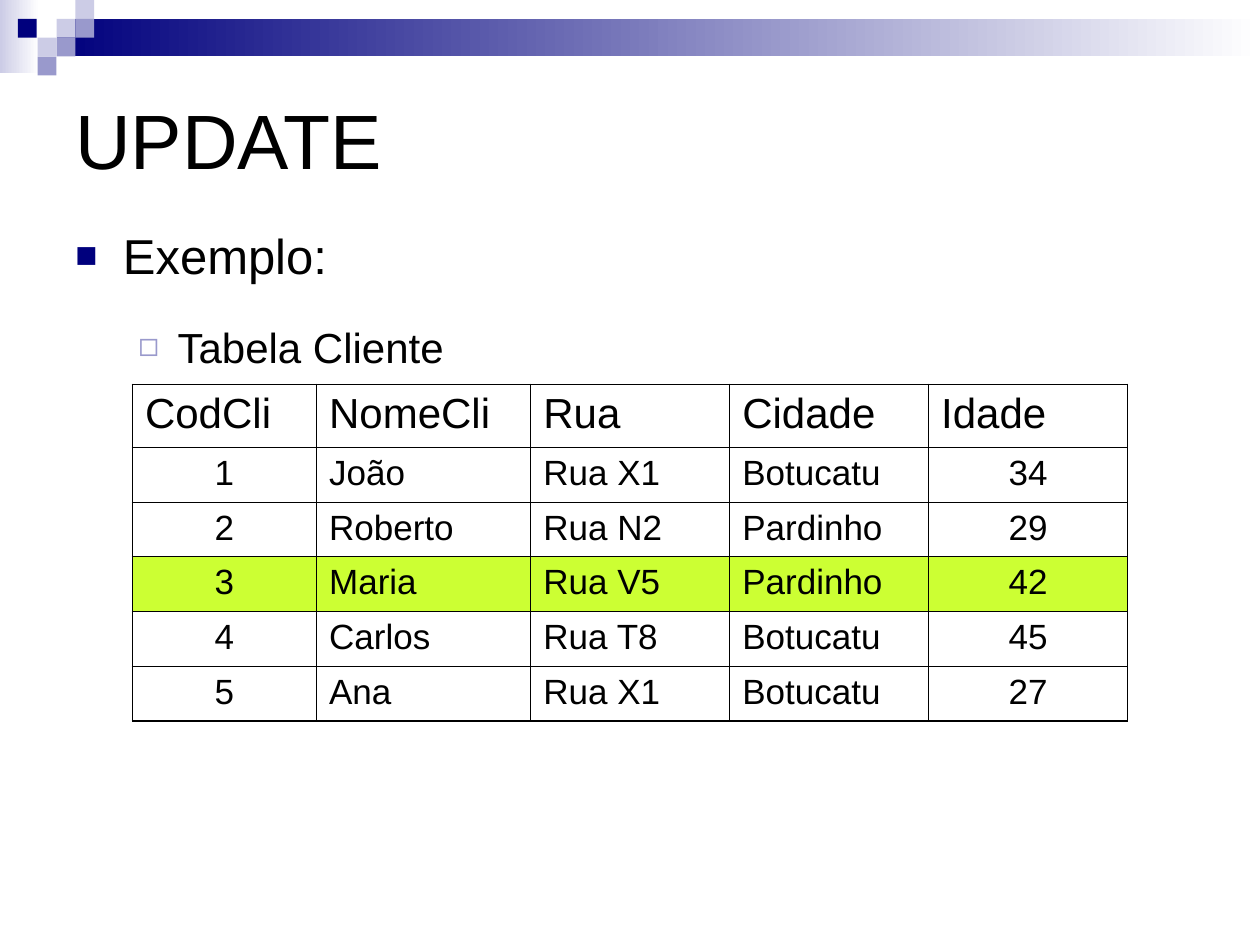
import pptx
import pptx.dml.color
import pptx.enum.shapes
import pptx.enum.text
import pptx.oxml.ns
import pptx.util
from lxml import etree

Cm, Pt = pptx.util.Cm, pptx.util.Pt
RGBColor = pptx.dml.color.RGBColor
PP_ALIGN = pptx.enum.text.PP_ALIGN

BLACK = RGBColor(0x00, 0x00, 0x00)
WHITE = RGBColor(0xFF, 0xFF, 0xFF)
NAVY = RGBColor(0x00, 0x00, 0x7D)
LAVENDER = RGBColor(0x99, 0x99, 0xCC)
PALE = RGBColor(0xCC, 0xCC, 0xE6)
LIME = RGBColor(0xCC, 0xFF, 0x33)

UNIT = 0.38  # side of one mosaic square, in cm
THIN, THICK = 0.45, 1.08

# (column, row, colour) on the mosaic grid
MOSAIC = [
    (3, 1, PALE), (4, 0, PALE), (4, 1, LAVENDER), (2, 2, PALE),
    (0.95, 1, NAVY), (3, 2, LAVENDER), (2, 3, LAVENDER),
]

# text, size, left margin, hanging indent, space before, bullet, bullet colour, bullet %
OUTLINE = [
    ("Exemplo:", 28, 0.96, 0.96, 0, "■", NAVY, 75),
    ("Tabela Cliente", 24, 2.06, 0.79, 21, "◻", LAVENDER, 80),
]

CLIENTS = [
    ("CodCli", "NomeCli", "Rua", "Cidade", "Idade"),
    ("1", "João", "Rua X1", "Botucatu", "34"),
    ("2", "Roberto", "Rua N2", "Pardinho", "29"),
    ("3", "Maria", "Rua V5", "Pardinho", "42"),
    ("4", "Carlos", "Rua T8", "Botucatu", "45"),
    ("5", "Ana", "Rua X1", "Botucatu", "27"),
]
COLUMN_WIDTHS = [3.71, 4.32, 4.01, 4.01, 4.01]
ROW_HEIGHTS = [1.27] + [1.1] * 5
CENTERED_COLUMNS = (0, 4)
UPDATED_ROW = 3


def add_element(parent, tag, **attributes):
    element = etree.SubElement(parent, pptx.oxml.ns.qn(tag))
    for name, value in attributes.items():
        element.set(name, str(value))
    return element


class SlideBuilder:
    def __init__(self, slide, font="Arial"):
        self.slide = slide
        self.font = font

    def format_text(self, paragraph, size):
        for run in paragraph.runs:
            run.font.name = self.font
            run.font.size = Pt(size)
            run.font.color.rgb = BLACK

    def rectangle(self, left, top, width, height, color, fade_to=None):
        """Draw a borderless rectangle, fading left to right if fade_to is given."""
        block = self.slide.shapes.add_shape(
            pptx.enum.shapes.MSO_SHAPE.RECTANGLE,
            Cm(left), Cm(top), Cm(width), Cm(height))
        block.shadow.inherit = False
        block.line.fill.background()
        if fade_to is None:
            block.fill.solid()
            block.fill.fore_color.rgb = color
        else:
            block.fill.gradient()
            block.fill.gradient_angle = 0
            for stop, stop_color in zip(block.fill.gradient_stops, (color, fade_to)):
                stop.color.rgb = stop_color

    def text_box(self, left, top, width, height):
        frame = self.slide.shapes.add_textbox(
            Cm(left), Cm(top), Cm(width), Cm(height)).text_frame
        frame.word_wrap = True
        return frame

    def title(self, text, left, top, width, height):
        frame = self.text_box(left, top, width, height)
        frame.vertical_anchor = pptx.enum.text.MSO_ANCHOR.MIDDLE
        frame.text = text
        self.format_text(frame.paragraphs[0], 44)

    def outline(self, items, left, top, width, height):
        frame = self.text_box(left, top, width, height)
        frame.text = "\n".join(item[0] for item in items)
        for level, (paragraph, item) in enumerate(zip(frame.paragraphs, items)):
            _, size, margin, hanging, space, bullet, color, percent = item
            paragraph.level = level
            if space:
                paragraph.space_before = Pt(space)
            properties = paragraph._p.get_or_add_pPr()
            properties.set("marL", str(Cm(margin)))
            properties.set("indent", str(-Cm(hanging)))
            bullet_color = add_element(properties, "a:buClr")
            add_element(bullet_color, "a:srgbClr", val=color)
            add_element(properties, "a:buSzPct", val=percent * 1000)
            add_element(properties, "a:buFont", typeface=self.font)
            add_element(properties, "a:buChar", char=bullet)
            self.format_text(paragraph, size)

    def cell_borders(self, cell, widths):
        """Set the border widths in points: left, right, top, bottom."""
        properties = cell._tc.get_or_add_tcPr()
        for side, width in zip("LRTB", widths):
            border = add_element(properties, f"a:ln{side}", w=Pt(width))
            color = add_element(border, "a:solidFill")
            add_element(color, "a:srgbClr", val=BLACK)

    def table(self, rows, left, top, column_widths, row_heights):
        table = self.slide.shapes.add_table(
            len(rows), len(column_widths), Cm(left), Cm(top),
            Cm(sum(column_widths)), Cm(sum(row_heights))).table
        for column, width in zip(table.columns, column_widths):
            column.width = Cm(width)
        for row, height in zip(table.rows, row_heights):
            row.height = Cm(height)
        last_row, last_column = len(rows) - 1, len(column_widths) - 1
        for r, values in enumerate(rows):
            for c, value in enumerate(values):
                cell = table.cell(r, c)
                cell.text_frame.text = value
                paragraph = cell.text_frame.paragraphs[0]
                if r > 0 and c in CENTERED_COLUMNS:
                    paragraph.alignment = PP_ALIGN.CENTER
                self.format_text(paragraph, 20 if r else 24)
                outer = (c == 0, c == last_column, r == 0, r == last_row)
                self.cell_borders(cell, [THICK if edge else THIN for edge in outer])
                if r == UPDATED_ROW:
                    cell.fill.solid()
                    cell.fill.fore_color.rgb = LIME
                else:
                    cell.fill.background()


def main():
    presentation = pptx.Presentation()
    presentation.slide_width, presentation.slide_height = Cm(25.4), Cm(19.05)
    builder = SlideBuilder(
        presentation.slides.add_slide(presentation.slide_layouts[6]))

    builder.rectangle(0, 0, 0.79, 1.47, PALE, fade_to=WHITE)
    builder.rectangle(3 * UNIT, UNIT, 25.4 - 3 * UNIT, 2 * UNIT, NAVY, fade_to=WHITE)
    for column, row, color in MOSAIC:
        builder.rectangle(column * UNIT, row * UNIT, UNIT, UNIT, color)

    builder.title("UPDATE", 1.27, 1.37, 22.86, 2.84)
    builder.outline(OUTLINE, 1.27, 4.42, 20.24, 14.2)
    builder.table(CLIENTS, 2.67, 7.75, COLUMN_WIDTHS, ROW_HEIGHTS)
    presentation.save("out.pptx")


if __name__ == "__main__":
    main()
